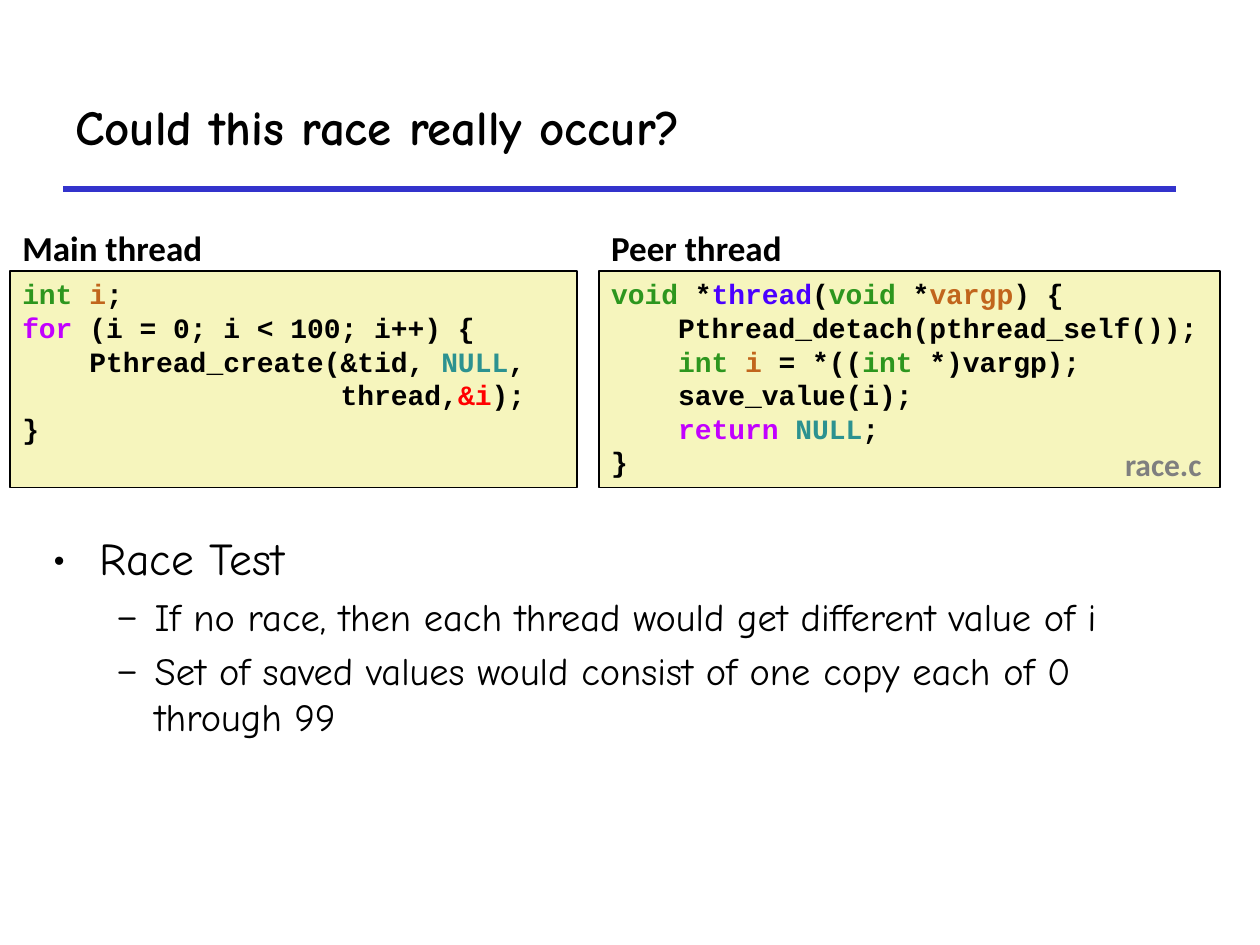
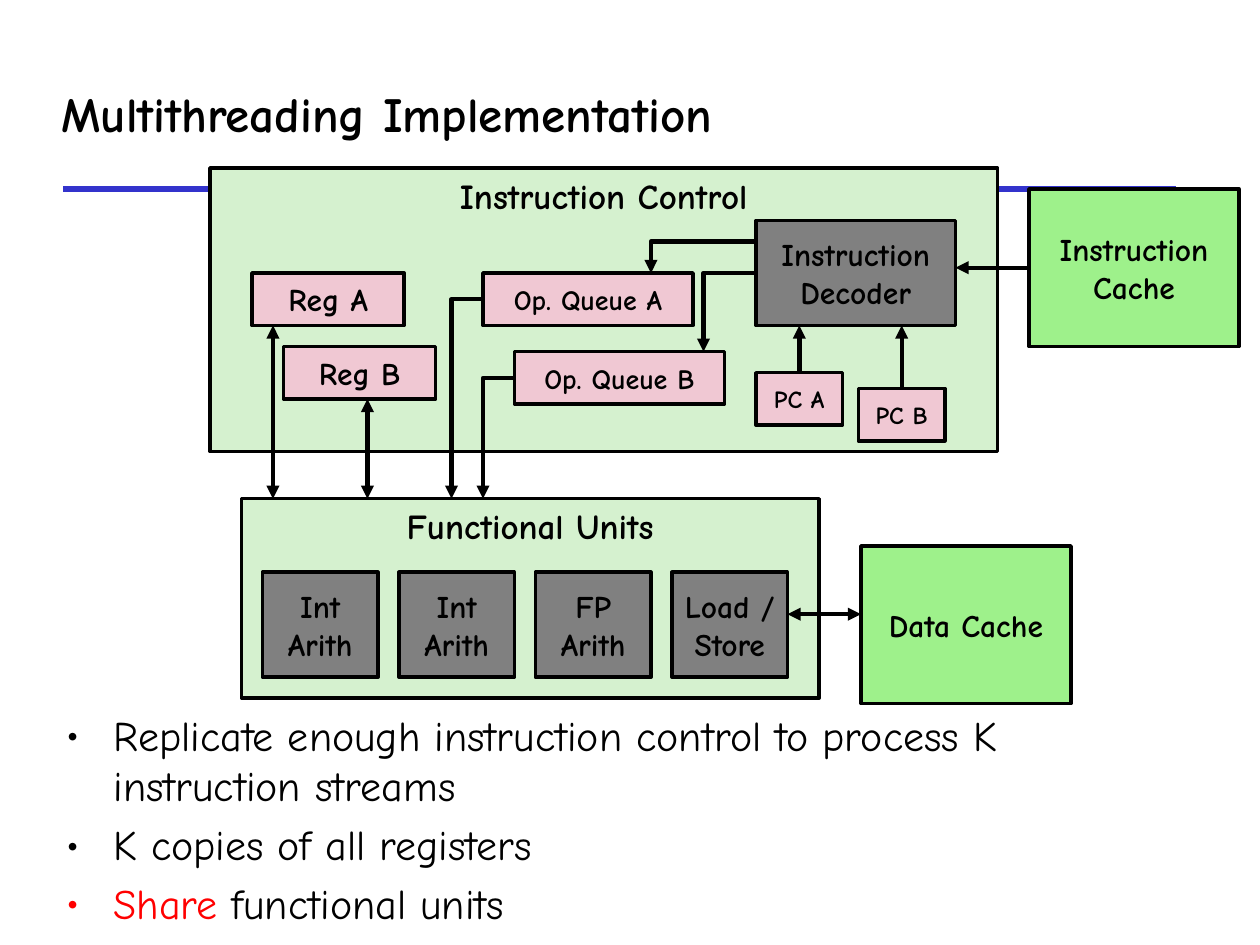
from lxml import etree
from pptx import Presentation
from pptx.dml.color import RGBColor
from pptx.enum.shapes import MSO_CONNECTOR, MSO_SHAPE
from pptx.enum.text import MSO_ANCHOR, PP_ALIGN
from pptx.oxml.ns import qn
from pptx.util import Cm, Pt

RECT = MSO_SHAPE.RECTANGLE
STRAIGHT, ELBOW = MSO_CONNECTOR.STRAIGHT, MSO_CONNECTOR.ELBOW
TOP, MIDDLE = MSO_ANCHOR.TOP, MSO_ANCHOR.MIDDLE
LEFT, CENTER = PP_ALIGN.LEFT, PP_ALIGN.CENTER

COLORS = {
    "black": "000000", "red": "FF0000", "rule": "3333CC",
    "code": "F6F5BD", "type": "2D961E", "variable": "C1651C",
    "keyword": "C200FF", "constant": "2C9290", "function": "4A00FF",
    "file": "7F7F7F", "panel": "D5F1CF", "unit": "808080",
    "register": "F0C8D3", "cache": "9EF18B",
}
HAND, SANS, MONO = "Comic Neue", "Calibri", "Courier New"
# Per outline level: bullet, left margin and hanging indent in cm
BULLETS = [("•", 0.95, 0.95), ("–", 2.06, 0.79)]

MAIN_CODE = [
    [("int ", "type"), ("i", "variable"), ";"],
    [("for", "keyword"), " (i = 0; i < 100; i++) {"],
    ["    Pthread_create(&tid, ", ("NULL", "constant"), ","],
    ["                   thread,", ("&i", "red"), ");"],
    "}",
]
PEER_CODE = [
    [("void", "type"), " *", ("thread", "function"), "(", ("void", "type"),
     " *", ("vargp", "variable"), ") {"],
    "    Pthread_detach(pthread_self());",
    ["    ", ("int ", "type"), ("i", "variable"), " = *((", ("int", "type"),
     " *)vargp);"],
    "    save_value(i);",
    ["    ", ("return ", "keyword"), ("NULL", "constant"), ";"],
    "}",
]


def rgb(name):
    return RGBColor.from_string(COLORS[name])


def grid(n):
    """Length of n diagram grid steps, twelve to 2.54 cm."""
    return Cm(2.54 * n / 12)


def add_runs(p, line, size=18, font=HAND, color="black", bold=True):
    """Fill a paragraph from a string or a list of strings and (text, color)."""
    for piece in [line] if isinstance(line, str) else line:
        text, tint = (piece, color) if isinstance(piece, str) else piece
        r = p.add_run()
        r.text = text
        r.font.name, r.font.size, r.font.bold = font, Pt(size), bold
        r.font.color.rgb = rgb(tint)


def write(tf, lines, align=LEFT, anchor=TOP, wrap=True, **fmt):
    tf.word_wrap, tf.vertical_anchor = wrap, anchor
    for i, line in enumerate(lines):
        p = tf.add_paragraph() if i else tf.paragraphs[0]
        p.alignment = align
        add_runs(p, line, **fmt)


def add_text(s, box, lines, **fmt):
    write(s.shapes.add_textbox(*box).text_frame, lines, **fmt)


def add_box(s, box, fill, lines, weight=2, **fmt):
    sp = s.shapes.add_shape(RECT, *box)
    sp.shadow.inherit = False
    sp.fill.solid()
    sp.fill.fore_color.rgb = rgb(fill)
    sp.line.color.rgb = rgb("black")
    sp.line.width = Pt(weight)
    write(sp.text_frame, lines, **fmt)


def add_line(s, start, end, color="black", weight=2.5, head=False, tail=False,
             bent=False):
    """Draw a line; a bent one runs left from start, then down to end."""
    c = s.shapes.add_connector(ELBOW if bent else STRAIGHT, *start, *end)
    c.line.color.rgb = rgb(color)
    c.line.width = Pt(weight)
    sp_pr = c._element.spPr
    if bent:
        sp_pr.find(qn("a:prstGeom")).set("prst", "bentConnector2")
        xfrm = sp_pr.find(qn("a:xfrm"))
        xfrm.attrib.pop("flipH", None)
        xfrm.set("rot", "10800000")
        xfrm.set("flipV", "1")
    ln = sp_pr.find(qn("a:ln"))
    for tag, shown in (("a:headEnd", head), ("a:tailEnd", tail)):
        if shown:
            etree.SubElement(ln, qn(tag), type="triangle")
    etree.SubElement(sp_pr, qn("a:effectLst"))


def add_bullets(s, box, items):
    """Add an outline of (level, size, line) items."""
    tf = s.shapes.add_textbox(*box).text_frame
    tf.word_wrap = True
    for i, (level, size, line) in enumerate(items):
        p = tf.add_paragraph() if i else tf.paragraphs[0]
        char, margin, hang = BULLETS[level]
        p_pr = p._p.get_or_add_pPr()
        p_pr.set("marL", str(Cm(margin)))
        p_pr.set("indent", str(-Cm(hang)))
        etree.SubElement(p_pr, qn("a:buFont"), typeface=HAND)
        etree.SubElement(p_pr, qn("a:buChar"), char=char)
        p.level = level
        if i:
            p.space_before = Pt(0.2 * size)
        add_runs(p, line, size=size, bold=False)


def new_slide(prs, title, box):
    s = prs.slides.add_slide(prs.slide_layouts[6])
    add_line(s, (Cm(1.27), Cm(3.81)), (Cm(23.7), Cm(3.81)), "rule", 3)
    add_text(s, box, [title], size=28, anchor=MIDDLE)
    return s


def code_panel(s, box, label, label_width, code):
    x, y, w, h = box
    add_box(s, box, "code", code, weight=1, size=16, font=MONO)
    add_text(s, (x, y - Cm(1.02), label_width, Cm(1.12)), [label],
             size=20, font=SANS, wrap=False)


def race_slide(prs):
    s = new_slide(prs, "Could this race really occur?",
                  (Cm(1.27), Cm(1.27), Cm(22.43), Cm(2.54)))
    top, height = Cm(5.46), Cm(4.37)
    code_panel(s, (Cm(0.2), top, Cm(11.43), height),
               "Main thread", Cm(4.19), MAIN_CODE)
    code_panel(s, (Cm(12.07), top, Cm(12.52), height),
               "Peer thread", Cm(3.99), PEER_CODE)
    add_text(s, (Cm(22.43), Cm(8.84), Cm(2.08), Cm(1.02)), ["race.c"],
             font=SANS, color="file", wrap=False)
    add_bullets(s, (Cm(0.81), Cm(10.57), Cm(23.75), Cm(3.66)), [
        (0, 26, "Race Test"),
        (1, 22, "If no race, then each thread would get different value of i"),
        (1, 22, "Set of saved values would consist of one copy each of 0 "
                "through 99"),
    ])


def tools_at(s, left, top):
    """Return box and arrow functions working in grid steps from a corner."""
    def at(x, y):
        return grid(left + x), grid(top + y)

    def block(x, y, w, h, fill, text, size=18, anchor=MIDDLE):
        add_box(s, (*at(x, y), grid(w), grid(h)), fill, text.split("\n"),
                size=size, align=CENTER, anchor=anchor)

    def arrow(start, end, **ends):
        add_line(s, at(*start), at(*end), **ends)

    return block, arrow


def functional_units(s, left, top):
    block, arrow = tools_at(s, left, top)
    block(0, 0, 55, 19, "panel", "Functional Units", 20, TOP)
    names = ["Int\nArith", "Int\nArith", "FP\nArith", "Load /\nStore"]
    for i, name in enumerate(names):
        block(2 + 13 * i, 7, 11, 10, "unit", name)
    block(59, 4.5, 20, 15, "cache", "Data Cache")
    arrow((59, 11), (52, 11), head=True, tail=True)


def instruction_control(s, left, top):
    block, arrow = tools_at(s, left, top)
    units_top = 31.5
    block(0, 0, 75, 27, "panel", "Instruction Control", 20, TOP)
    block(52, 5, 19, 10, "unit", "Instruction Decoder")
    block(78, 2, 20, 15, "cache", "Instruction\nCache")
    arrow((71, 9.5), (78, 9.5), head=True)
    for name, x, y, wire in (("Reg A", 4, 10, 6), ("Reg B", 7, 17, 15)):
        block(x, y, 14.5, 5, "register", name)
        arrow((wire, y + 5), (wire, units_top), head=True, tail=True)
    for name, x, y, feed, entry in (("Op. Queue A", 26, 10, 7, 42),
                                    ("Op. Queue B", 29, 17.5, 10, 47)):
        block(x, y, 20, 5, "register", name, 16)
        arrow((52, feed), (entry, y), tail=True, bent=True)
        arrow((x, y + 2.5), (x - 3, units_top), tail=True, bent=True)
    for name, x, y in (("PC A", 52, 19.5), ("PC B", 61.75, 21)):
        block(x, y, 8.25, 5, "register", name, 14)
        arrow((x + 4.13, 15), (x + 4.13, y), head=True)


def multithreading_slide(prs):
    s = new_slide(prs, "Multithreading Implementation",
                  (Cm(0.99), Cm(1.22), Cm(22.94), Cm(2.11)))
    add_bullets(s, (Cm(1.09), Cm(14.17), Cm(21.97), Cm(3.4)), [
        (0, 24, "Replicate enough instruction control to process K "
                "instruction streams"),
        (0, 24, "K copies of all registers"),
        (0, 24, [("Share", "red"), " functional units"]),
    ])
    functional_units(s, 23, 47.5)
    instruction_control(s, 20, 16)


def main():
    prs = Presentation()
    prs.slide_width, prs.slide_height = Cm(25.4), Cm(19.05)
    race_slide(prs)
    multithreading_slide(prs)
    prs.save("out.pptx")


if __name__ == "__main__":
    main()
